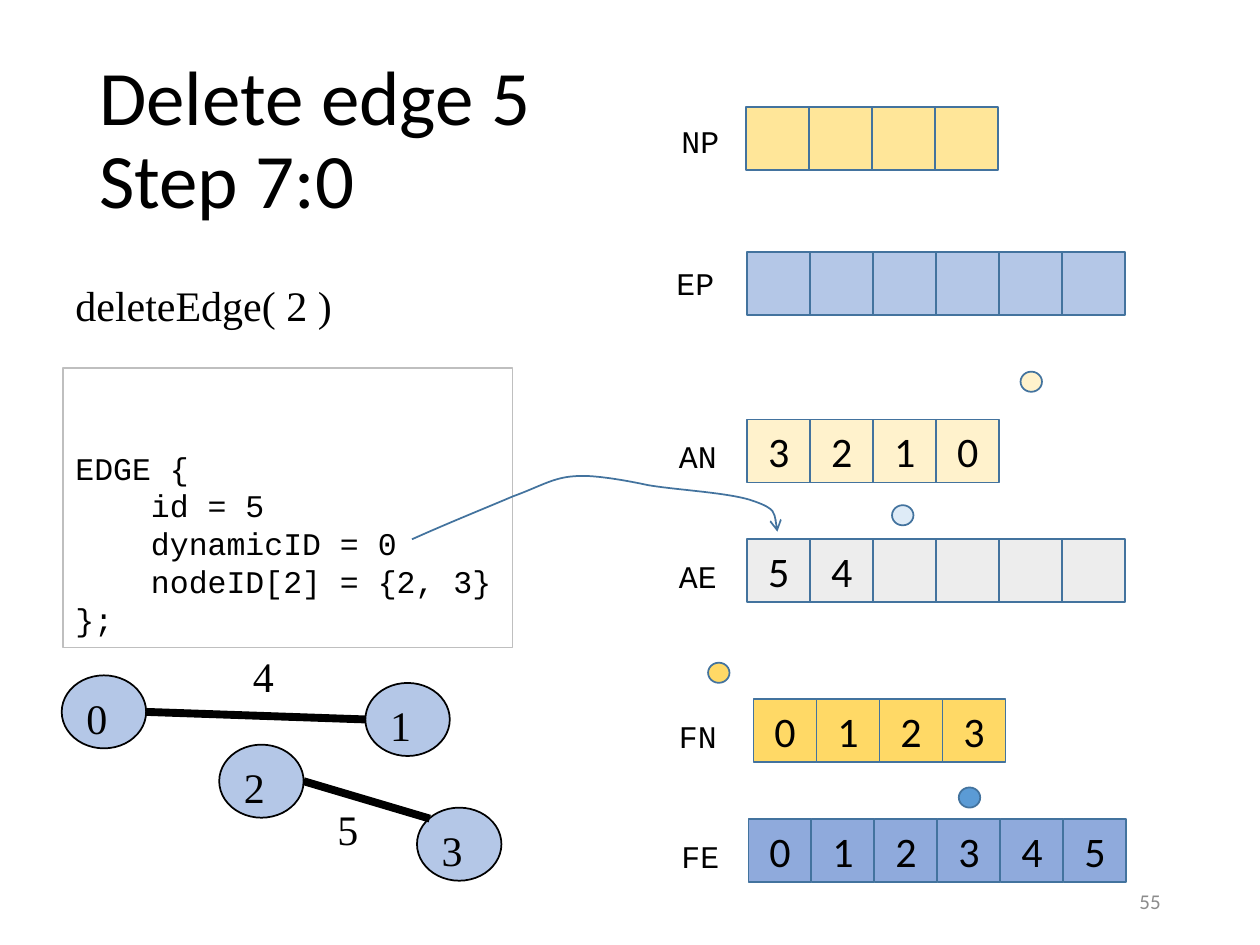
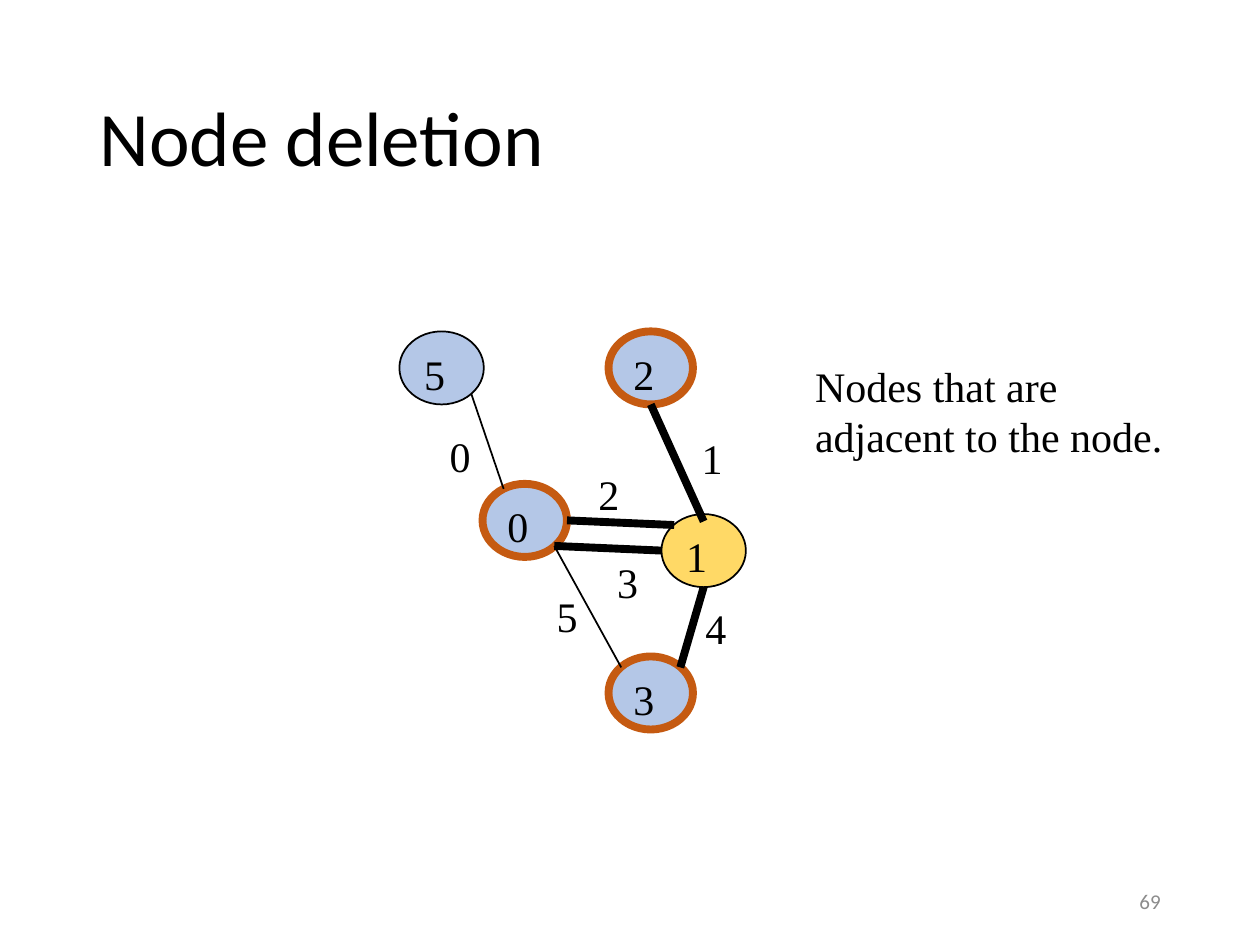
"""Build two slides on deleting edges and nodes from a graph store."""
from lxml.etree import SubElement
from pptx import Presentation
from pptx.dml.color import RGBColor
from pptx.enum.shapes import MSO_CONNECTOR, MSO_SHAPE
from pptx.enum.text import MSO_ANCHOR, MSO_AUTO_SIZE, PP_ALIGN
from pptx.oxml.ns import qn
from pptx.util import Inches, Pt

SANS, SERIF, MONO = "Calibri", "Times New Roman", "Courier New"
BLACK, GREY, OUTLINE, BORDER = "000000", "8C8C8C", "43739E", "BFBFBF"
PALE_BLUE, GOLD, ORANGE = "B4C7E7", "FFD966", "C55A11"
THIN, THICK = 1, 4.5
CELL = 0.5
NODE_WIDTH, NODE_HEIGHT = 0.67, 0.58
LABEL_WIDTH, LABEL_HEIGHT = 0.37, 0.5
DOT_WIDTH, DOT_HEIGHT = 0.17, 0.16

# name, label left, label top, first cell left, row top, fill, values
ARRAYS = [
    ("NP", 5.31, 0.92, 5.92, 0.85, "FFE699", [""] * 4),
    ("EP", 5.27, 2.05, 5.93, 2.00, PALE_BLUE, [""] * 6),
    ("AN", 5.29, 3.42, 5.93, 3.33, "FFF2CC", "3210"),
    ("AE", 5.29, 4.37, 5.93, 4.28, "EDEDED", ["5", "4", "", "", "", ""]),
    ("FN", 5.29, 5.64, 5.98, 5.55, GOLD, "0123"),
    ("FE", 5.31, 6.59, 5.94, 6.50, "8FAADC", "012345"),
]
DOTS = [(7.61, 6.25, "5B9BD5"), (5.62, 5.26, GOLD), (8.1, 2.95, "FFF2CC"), (7.08, 4.01, "DEEBF7")]
EDGE_CODE = "EDGE {\n    id = 5\n    dynamicID = 0\n    nodeID[2] = {2, 3}\n};"
POINTER = [(3.27, 4.28), (3.56, 4.15), (3.86, 4.03), (4.07, 3.94), (4.29, 3.86), (4.39, 3.79),
           (4.56, 3.78), (4.74, 3.76), (5.14, 3.85), (5.14, 3.85), (5.37, 3.89), (5.81, 3.91),
           (5.99, 3.98), (6.16, 4.04), (6.16, 4.13), (6.17, 4.22)]

TOP, LEFT, BOTTOM, RIGHT = (0.5, 0), (0, 0.5), (0.5, 1), (1, 0.5)
TOP_LEFT, TOP_RIGHT, BOTTOM_RIGHT = (0.15, 0.15), (0.85, 0.15), (0.85, 0.85)

EDGE_GRAPH = {
    "nodes": {"3": (3.31, 6.41, PALE_BLUE, BLACK, THIN), "2": (1.74, 5.91, PALE_BLUE, BLACK, THIN),
              "1": (2.9, 5.42, PALE_BLUE, BLACK, THIN), "0": (0.49, 5.36, PALE_BLUE, BLACK, THIN)},
    "edges": [("2", RIGHT, "3", TOP_LEFT, THICK), ("0", RIGHT, "1", LEFT, THICK)],
    "labels": [("5", 2.58, 6.33), ("4", 1.91, 5.11)],
}
NODE_GRAPH = {
    "nodes": {"5": (3.17, 2.63, PALE_BLUE, BLACK, THIN), "2": (4.83, 2.63, PALE_BLUE, ORANGE, THICK),
              "0": (3.83, 3.84, PALE_BLUE, ORANGE, THICK), "1": (5.25, 4.08, GOLD, BLACK, THIN),
              "3": (4.83, 5.21, PALE_BLUE, ORANGE, THICK)},
    "edges": [("0", RIGHT, "1", TOP_LEFT, THICK), ("0", BOTTOM_RIGHT, "3", TOP_LEFT, THIN),
              ("5", BOTTOM_RIGHT, "0", (0.25, 0.07), THIN), ("2", BOTTOM, "1", (0.5, 0.1), THICK),
              ("1", BOTTOM, "3", TOP_RIGHT, THICK), ("1", LEFT, "0", BOTTOM_RIGHT, THICK)],
    "labels": [("0", 3.47, 3.37), ("1", 5.47, 3.38), ("2", 4.65, 3.67),
               ("3", 4.8, 4.37), ("5", 4.32, 4.64), ("4", 5.5, 4.73)],
}


def color(code):
    return RGBColor.from_string(code)


def write(shape, text, font, size, ink=BLACK, align=PP_ALIGN.LEFT, anchor=MSO_ANCHOR.TOP, spacing=None):
    frame = shape.text_frame
    frame.text = text
    frame.vertical_anchor = anchor
    for para in frame.paragraphs:
        para.alignment = align
        para.line_spacing = spacing
        for span in para.runs:
            span.font.name = font
            span.font.size = Pt(size)
            span.font.color.rgb = color(ink)


def add_text(page, at, text, font, size, wrap=False, **style):
    box = page.shapes.add_textbox(*map(Inches, at))
    write(box, text, font, size, **style)
    box.text_frame.word_wrap = wrap
    if not wrap:
        box.text_frame.auto_size = MSO_AUTO_SIZE.SHAPE_TO_FIT_TEXT


def paint(shape, fill, line, weight):
    shape.shadow.inherit = False
    if fill:
        shape.fill.solid()
        shape.fill.fore_color.rgb = color(fill)
    else:
        shape.fill.background()
    shape.line.color.rgb = color(line)
    shape.line.width = Pt(weight)


def add_shape(page, kind, at, fill, line=OUTLINE, weight=THIN):
    shape = page.shapes.add_shape(kind, *map(Inches, at))
    paint(shape, fill, line, weight)
    return shape


def add_page(deck, title, number):
    page = deck.slides.add_slide(deck.slide_layouts[6])
    add_text(page, (0.69, 0.4, 8.62, 1.45), title, SANS, 44, wrap=True,
             anchor=MSO_ANCHOR.MIDDLE, spacing=0.9)
    add_text(page, (7.06, 6.95, 2.25, 0.4), number, SANS, 12, wrap=True, ink=GREY,
             align=PP_ALIGN.RIGHT, anchor=MSO_ANCHOR.MIDDLE)
    return page


def add_array(page, name, label_left, label_top, left, top, fill, values):
    add_text(page, (label_left, label_top, 0.5, 0.4), name, MONO, 18)
    for column, value in enumerate(values):
        cell = add_shape(page, MSO_SHAPE.RECTANGLE, (left + column * CELL, top, CELL, CELL), fill)
        if value:
            write(cell, value, SANS, 24, align=PP_ALIGN.CENTER, anchor=MSO_ANCHOR.MIDDLE)


def add_graph(page, graph):
    nodes = graph["nodes"]
    for name, (left, top, fill, line, weight) in nodes.items():
        node = add_shape(page, MSO_SHAPE.OVAL, (left, top, NODE_WIDTH, NODE_HEIGHT), fill, line, weight)
        write(node, name, SERIF, 24)

    def site(name, share):
        left, top = nodes[name][:2]
        return Inches(left + share[0] * NODE_WIDTH), Inches(top + share[1] * NODE_HEIGHT)

    for start, start_share, end, end_share, weight in graph["edges"]:
        edge = page.shapes.add_connector(MSO_CONNECTOR.STRAIGHT, *site(start, start_share),
                                         *site(end, end_share))
        edge.line.color.rgb = color(BLACK)
        edge.line.width = Pt(weight)
        SubElement(edge._element.spPr, qn("a:effectLst"))
    for text, left, top in graph["labels"]:
        add_text(page, (left, top, LABEL_WIDTH, LABEL_HEIGHT), text, SERIF, 24)


def add_curved_arrow(page, points):
    start, *rest = [(Inches(x), Inches(y)) for x, y in points]
    builder = page.shapes.build_freeform(*start)
    builder.add_line_segments(rest, close=False)
    arrow = builder.convert_to_shape()
    paint(arrow, None, OUTLINE, THIN)
    outline = next(arrow._element.iter(qn("a:path")))
    steps = outline.findall(qn("a:lnTo"))
    for first in range(0, len(steps), 3):
        curve = SubElement(outline, qn("a:cubicBezTo"))
        for step in steps[first:first + 3]:
            curve.append(step[0])
            outline.remove(step)
    SubElement(arrow.line._get_or_add_ln(), qn("a:tailEnd"), type="arrow")


def main():
    deck = Presentation()
    deck.slide_width, deck.slide_height = Inches(10), Inches(7.5)

    page = add_page(deck, "Delete edge 5\vStep 7:0", "55")
    for array in ARRAYS:
        add_array(page, *array)
    add_text(page, (0.5, 2.17, 2.25, 0.5), "deleteEdge( 2 )", SERIF, 24)
    code = add_shape(page, MSO_SHAPE.RECTANGLE, (0.5, 2.92, 3.57, 2.22), None, BORDER, 0.75)
    write(code, EDGE_CODE, MONO, 18, anchor=MSO_ANCHOR.BOTTOM)
    code.text_frame.margin_bottom = Inches(0.08)
    for left, top, fill in DOTS:
        add_shape(page, MSO_SHAPE.OVAL, (left, top, DOT_WIDTH, DOT_HEIGHT), fill)
    add_graph(page, EDGE_GRAPH)
    add_curved_arrow(page, POINTER)

    page = add_page(deck, "Node deletion", "69")
    add_graph(page, NODE_GRAPH)
    add_text(page, (6.37, 2.81, 3.08, 0.91), "Nodes that are adjacent to the node.", SERIF, 24, wrap=True)
    deck.save("out.pptx")


if __name__ == "__main__":
    main()
